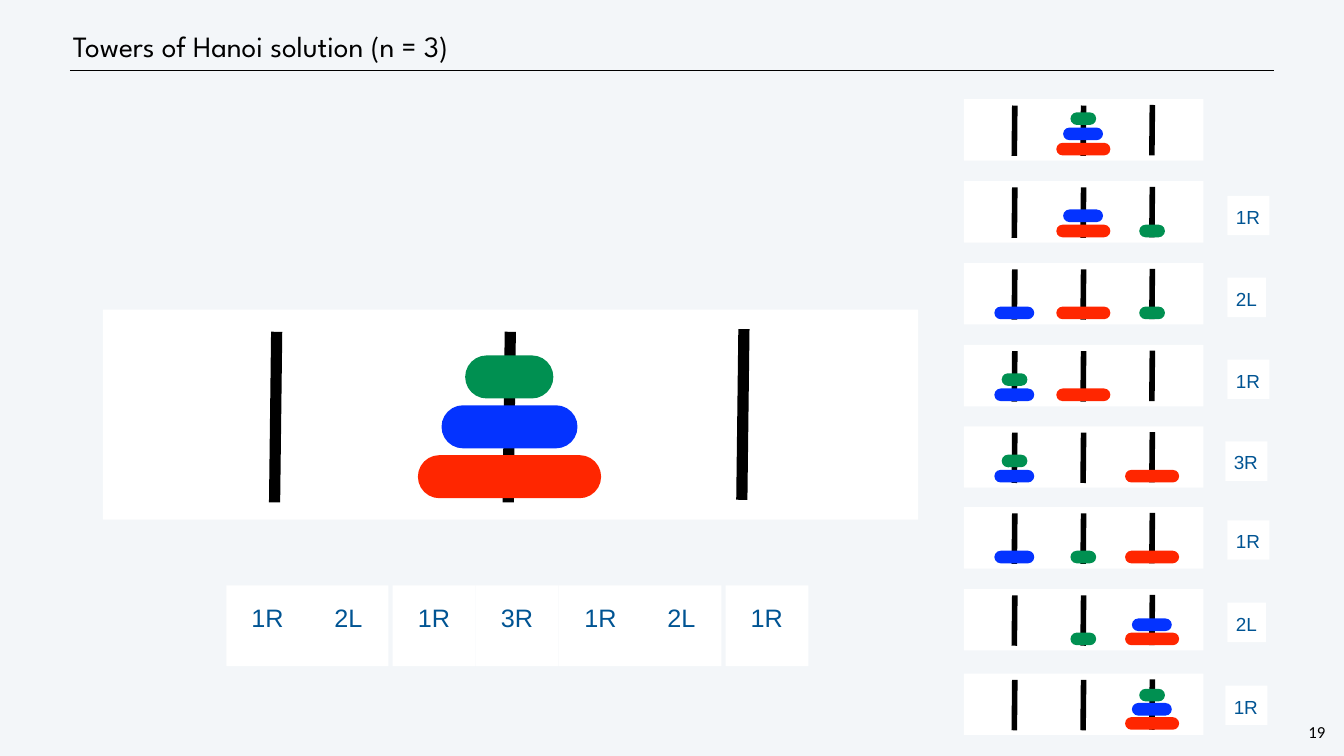
"""Build the Towers of Hanoi solution slide for three disks."""
from lxml.etree import SubElement
from pptx import Presentation
from pptx.dml.color import RGBColor
from pptx.enum.shapes import MSO_CONNECTOR, MSO_SHAPE as SHAPE
from pptx.enum.text import MSO_ANCHOR as ANCHOR, MSO_AUTO_SIZE as AUTO, PP_ALIGN as ALIGN
from pptx.oxml.ns import qn
from pptx.util import Emu, Pt

PX = 9525
COLORS = {"page": "F3F6F9", "ink": "000000", "board": "FFFFFF", "move": "005493",
          1: "009051", 2: "0433FF", 3: "FF2600"}
MAIN = dict(size=(1553, 400), center=774, gap=445, peg_top=42, peg_height=325, peg_width=16,
            lean=4, lift=5, widths={1: 168, 2: 259, 3: 349}, disk_height=82, base=277, step=95)
SMALL = dict(size=(456, 117), center=227, gap=131, peg_top=12, peg_height=96, peg_width=8,
             lean=1, lift=1, widths={1: 49, 2: 76, 3: 103}, disk_height=24, base=83, step=29)
TIGHT = {**SMALL, "step": 27}
START = {3: 1, 2: 1, 1: 1}
STEPS = [("1R", 345, 2338, 373, SMALL), ("2L", 501, 2338, 529, SMALL),
         ("1R", 657, 2338, 685, SMALL), ("3R", 812, 2334, 841, SMALL),
         ("1R", 966, 2338, 991, SMALL), ("2L", 1122, 2338, 1148, TIGHT),
         ("1R", 1283, 2334, 1306, TIGHT)]


class Deck:
    def __init__(self):
        self.show = Presentation()
        self.show.slide_width, self.show.slide_height = Emu(2560 * PX), Emu(1440 * PX)
        self.slide = self.show.slides.add_slide(self.show.slide_layouts[6])
        self.target = self.slide.shapes
        background = self.slide.background.fill
        background.solid()
        background.fore_color.rgb = self.color("page")

    def color(self, key):
        return RGBColor.from_string(COLORS[key])

    def group(self):
        self.target = self.slide.shapes.add_group_shape().shapes

    def line(self, x1, y1, x2, y2, width):
        rule = self.target.add_connector(MSO_CONNECTOR.STRAIGHT, *(Emu(v * PX) for v in (x1, y1, x2, y2)))
        rule.line.color.rgb = self.color("ink")
        rule.line.width = Pt(width)
        SubElement(rule._element.spPr, qn("a:effectLst"))

    def block(self, x, y, w, h, fill, kind=SHAPE.RECTANGLE):
        block = self.target.add_shape(kind, *(Emu(v * PX) for v in (x, y, w, h)))
        block.shadow.inherit = False
        block.fill.solid()
        block.fill.fore_color.rgb = self.color(fill)
        block.line.fill.background()
        return block

    def label(self, shape, text, size, spacing, inset, font="Arial", color="ink",
              before=0, align=ALIGN.LEFT, anchor=ANCHOR.TOP, wrap=False):
        frame = shape.text_frame
        frame.text = text
        frame.word_wrap = wrap
        frame.auto_size = AUTO.NONE if wrap else AUTO.SHAPE_TO_FIT_TEXT
        frame.vertical_anchor = anchor
        frame.margin_left = frame.margin_right = Emu(inset * PX)
        frame.margin_top = frame.margin_bottom = Emu(inset * PX)
        line = frame.paragraphs[0]
        line.alignment = align
        line.line_spacing, line.space_before = Pt(spacing), Pt(before)
        line.font.name, line.font.size = font, Pt(size)
        line.font.color.rgb = self.color(color)

    def text(self, x, y, w, h, text, size, spacing, inset, **style):
        box = self.target.add_textbox(*(Emu(v * PX) for v in (x, y, w, h)))
        self.label(box, text, size, spacing, inset, **style)

    def move(self, x, y, w, h, text, size, spacing, inset):
        self.label(self.block(x, y, w, h, "board"), text, size, spacing, inset, color="move")

    def board(self, x, y, pegs, look):
        self.block(x, y, *look["size"], "board")
        centers = [x + look["center"] + look["gap"] * side for side in (-1, 0, 1)]
        for index, center in enumerate(centers):
            top = y + look["peg_top"] - (look["lift"] if index == 2 else 0)
            foot = center - look["lean"] // 2
            self.line(foot + look["lean"], top, foot, top + look["peg_height"], look["peg_width"])
        for disk, peg in pegs.items():
            below = sum(pegs[other] == peg for other in pegs if other > disk)
            width = look["widths"][disk]
            pill = self.block(centers[peg] - width // 2, y + look["base"] - below * look["step"],
                              width, look["disk_height"], disk, SHAPE.ROUNDED_RECTANGLE)
            pill.adjustments[0] = 0.5


def main():
    deck = Deck()
    deck.line(133, 134, 2427, 134, 1)
    deck.text(133, 40, 2171, 95, "Towers of Hanoi solution (n = 3)", 42, 50, 6,
              font="League Spartan", anchor=ANCHOR.MIDDLE, wrap=True)
    deck.text(2488, 1372, 41, 45, "19", 24, 28, 4, font="Calibri", align=ALIGN.CENTER)
    deck.board(196, 590, START, MAIN)
    deck.board(1836, 189, START, SMALL)
    pegs = dict(START)
    for index, (move, top, label_x, label_y, look) in enumerate(STEPS):
        disk, turn = int(move[0]), 1 if move[1] == "R" else -1
        pegs[disk] = (pegs[disk] + turn) % 3
        narrower = 7 if turn < 0 else 0
        deck.group()
        deck.board(1836, top, pegs, look)
        deck.move(431 + 317 * index // 2, 1115, 158 - narrower, 154, move, 36, 45, 48)
        deck.move(label_x, label_y, 80 - narrower, 75, move, 27, 34, 16)
    deck.show.save("out.pptx")


if __name__ == "__main__":
    main()
